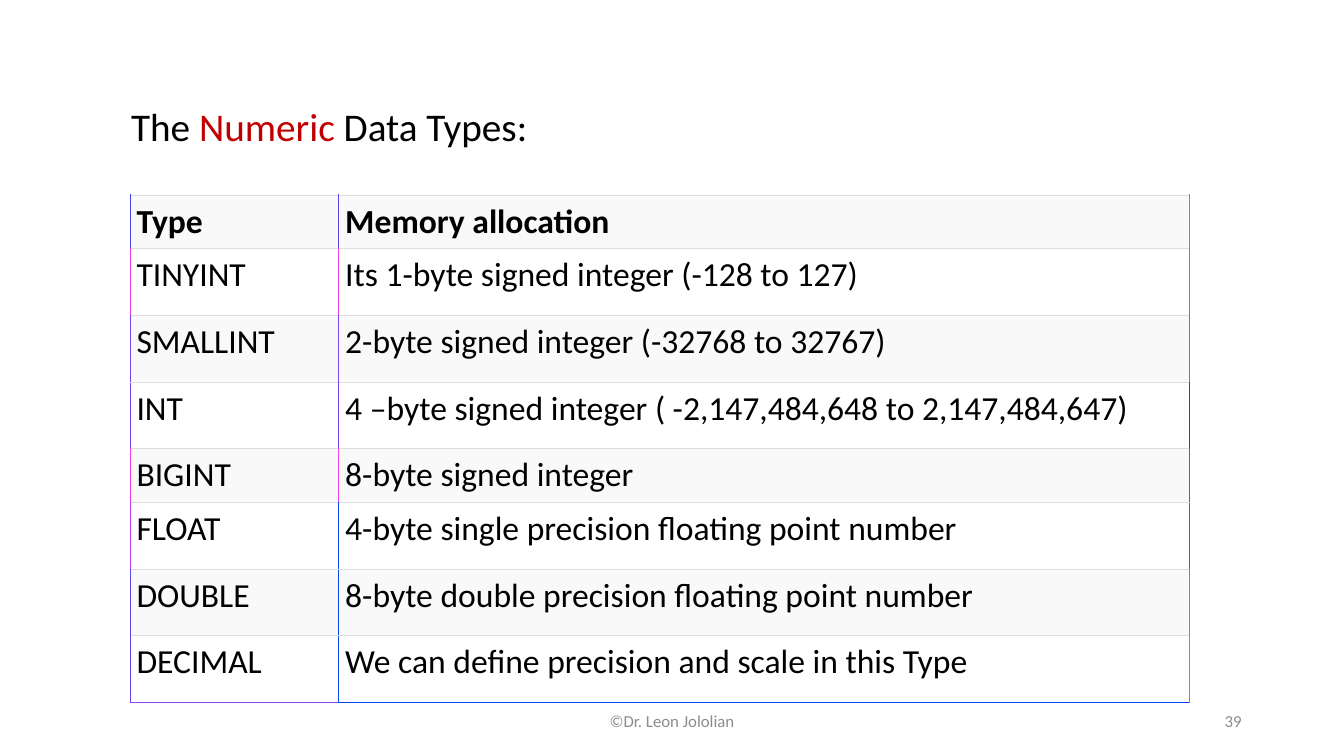
from lxml.etree import SubElement
from pptx import Presentation
from pptx.dml.color import RGBColor
from pptx.enum.text import MSO_ANCHOR, PP_ALIGN
from pptx.oxml.ns import qn
from pptx.util import Cm, Pt

HUES = {"ink": "000000", "red": "C00000", "grey": "8C8C8C",
        "band": "F9F9F9", "white": "FFFFFF", "rule": "DDDDDD"}

# Type, memory allocation, then the left, middle and right line colours
ROWS = [
    ("Type", "Memory allocation", "4841ED", "6041ED", "F041ED"),
    ("TINYINT", "Its 1-byte signed integer (-128 to 127)",
     "F041ED", "F041ED", "D043ED"),
    ("SMALLINT", "2-byte signed integer (-32768 to 32767)",
     "7841ED", "8042ED", "C041ED"),
    ("INT", "4 –byte signed integer ( -2,147,484,648 to 2,147,484,647)",
     "7841ED", "7841ED", "1841ED"),
    ("BIGINT", "8-byte signed integer", "F041ED", "F041ED", "7841ED"),
    ("FLOAT", "4-byte single precision floating point number",
     "C041ED", "0845ED", "7841ED"),
    ("DOUBLE", "8-byte double precision floating point number",
     "6044ED", "0845ED", "F041ED"),
    ("DECIMAL", "We can define precision and scale in this Type",
     "6845ED", "0845ED", "F842ED"),
]
FEET = ("9845ED", "0044ED")
SHORT = ("Type", "BIGINT")


def style(run, size, hue, bold=False):
    font = run.font
    font.name, font.size, font.bold = "Calibri", Pt(size), bold
    font.color.rgb = RGBColor.from_string(HUES[hue])


def add_title(slide):
    title = slide.shapes.title
    title.left, title.top = Cm(3.05), Cm(2.44)
    title.width, title.height = Cm(10.85), Cm(1.45)
    frame = title.text_frame
    frame.word_wrap = False
    frame.vertical_anchor = MSO_ANCHOR.TOP
    para = frame.paragraphs[0]
    para.alignment = PP_ALIGN.LEFT
    for text, hue in (("The ", "ink"), ("Numeric", "red"),
                      (" Data Types:", "ink")):
        run = para.add_run()
        run.text = text
        style(run, 28, hue)


def add_edge(cell, side, hue, width):
    line = SubElement(cell._tc.get_or_add_tcPr(), qn(f"a:ln{side}"),
                      w=str(Pt(width)))
    fill = SubElement(line, qn("a:solidFill"))
    SubElement(fill, qn("a:srgbClr"), val=hue)


def fill_cell(cell, text, band, bold, edges):
    cell.margin_left = cell.margin_right = Cm(0.16)
    cell.margin_top = cell.margin_bottom = Cm(0.16)
    cell.text_frame.text = text
    style(cell.text_frame.paragraphs[0].runs[0], 24, "ink", bold)
    left, right, foot = edges
    add_edge(cell, "L", left, 1)
    add_edge(cell, "R", right, 1)
    add_edge(cell, "T", HUES["rule"], 0.6)
    add_edge(cell, "B", foot, 0.6 if foot == HUES["rule"] else 1)
    cell.fill.solid()
    cell.fill.fore_color.rgb = RGBColor.from_string(HUES[band])


def add_types(slide):
    table = slide.shapes.add_table(len(ROWS), 2, Cm(3.28), Cm(4.91),
                                   Cm(26.7), Cm(12.78)).table
    table.first_row = table.horz_banding = False
    table.columns[0].width, table.columns[1].width = Cm(5.26), Cm(21.44)
    for r, (*texts, left, mid, right) in enumerate(ROWS):
        table.rows[r].height = Cm(1.35 if texts[0] in SHORT else 1.68)
        sides = (left, mid, right)
        for c, text in enumerate(texts):
            foot = FEET[c] if r == len(ROWS) - 1 else HUES["rule"]
            fill_cell(table.cell(r, c), text, "white" if r % 2 else "band",
                      r == 0, (sides[c], sides[c + 1], foot))


def add_note(slide, text, left, width, align):
    box = slide.shapes.add_textbox(Cm(left), Cm(17.65), Cm(width), Cm(1.02))
    frame = box.text_frame
    frame.word_wrap = True
    frame.vertical_anchor = MSO_ANCHOR.MIDDLE
    frame.text = text
    para = frame.paragraphs[0]
    para.alignment = align
    style(para.runs[0], 12, "grey")


def main():
    deck = Presentation()
    deck.slide_width, deck.slide_height = Cm(33.87), Cm(19.05)
    slide = deck.slides.add_slide(deck.slide_layouts[5])
    # Title and table
    add_title(slide)
    add_types(slide)
    # Footer and slide number
    add_note(slide, "©Dr. Leon Jololian", 11.22, 11.43, PP_ALIGN.CENTER)
    add_note(slide, "39", 23.92, 7.62, PP_ALIGN.RIGHT)
    deck.save("out.pptx")


if __name__ == "__main__":
    main()
